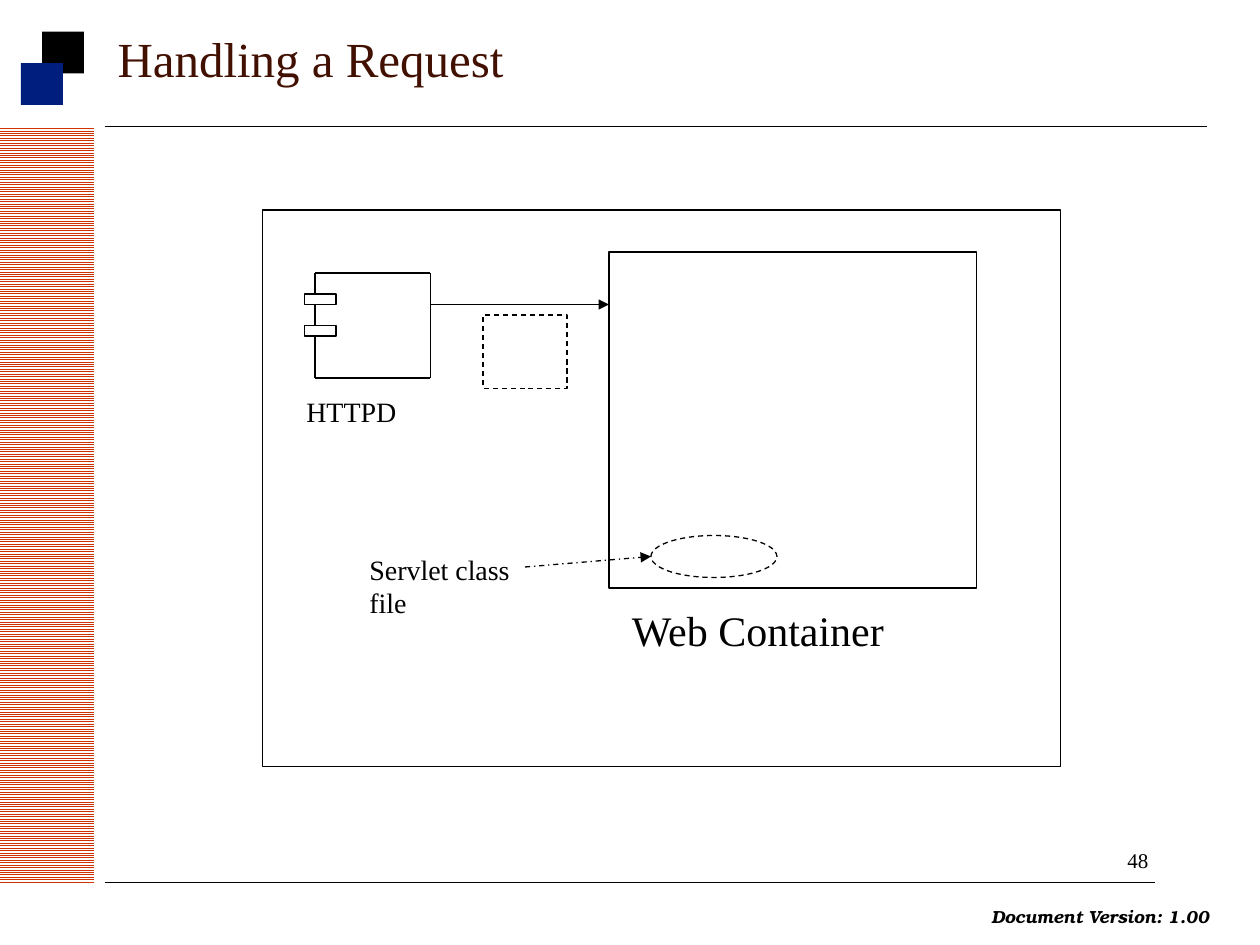
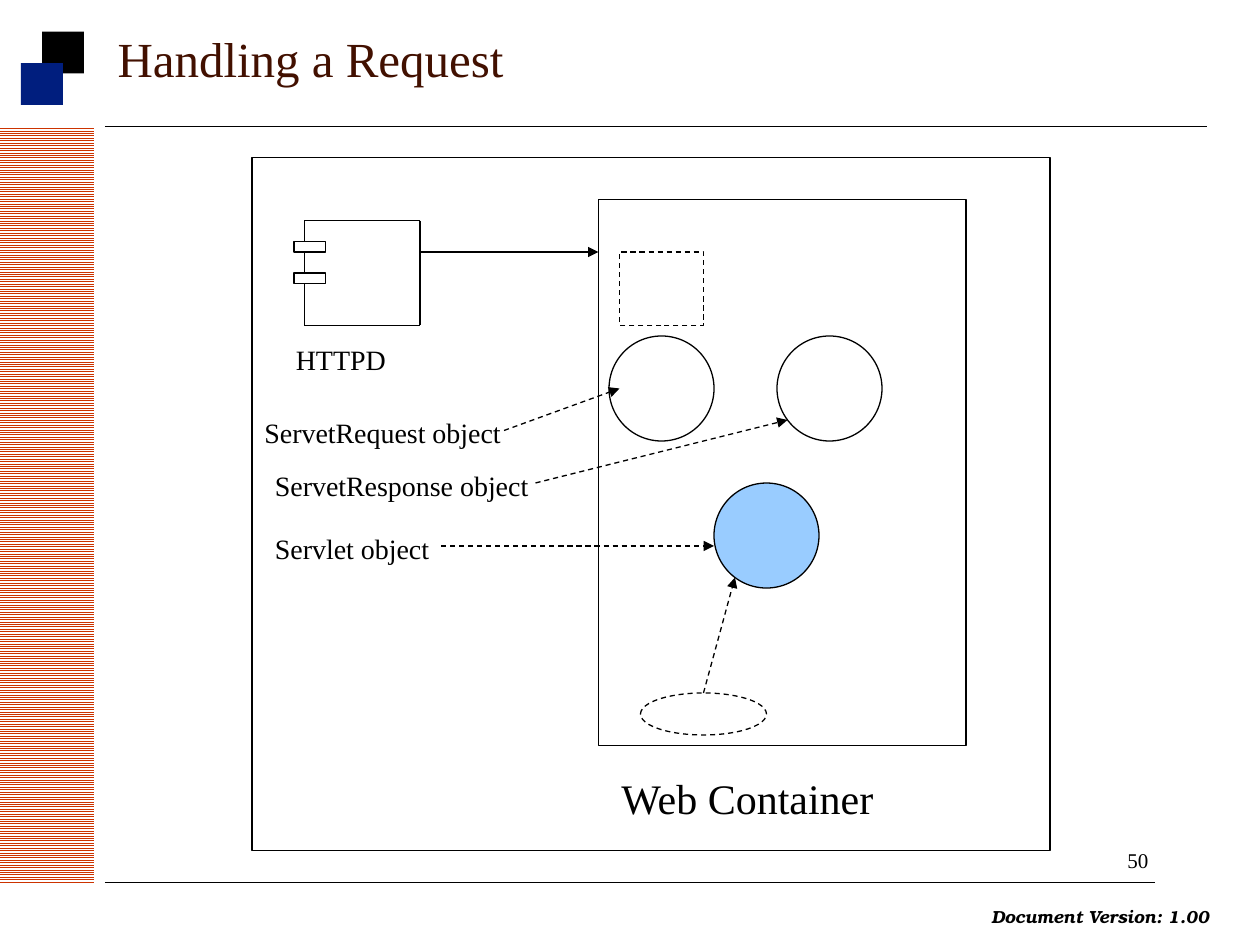
from dataclasses import dataclass

from lxml import etree
from pptx import Presentation
from pptx.dml.color import RGBColor
from pptx.enum.dml import MSO_LINE, MSO_PATTERN
from pptx.enum.shapes import MSO_CONNECTOR, MSO_SHAPE
from pptx.enum.text import MSO_ANCHOR, MSO_AUTO_SIZE, PP_ALIGN
from pptx.oxml.ns import qn
from pptx.util import Inches, Pt

RECT, OVAL = MSO_SHAPE.RECTANGLE, MSO_SHAPE.OVAL
DASH, DASH_DOT = MSO_LINE.DASH, MSO_LINE.DASH_DOT


@dataclass(frozen=True)
class Theme:
    ink: RGBColor = RGBColor.from_string("000000")
    paper: RGBColor = RGBColor.from_string("FFFFFF")
    title: RGBColor = RGBColor.from_string("421000")
    navy: RGBColor = RGBColor.from_string("001E7E")
    stripe: RGBColor = RGBColor.from_string("CC3300")
    servlet: RGBColor = RGBColor.from_string("99CCFF")
    font: str = "Times New Roman"
    footer_font: str = "TeX Gyre Bonum"
    title_size: int = 28
    container_size: int = 24
    label_size: int = 16
    number_size: int = 12
    footer_size: int = 10
    outline: float = 0.75
    hairline: float = 0.25


THEME = Theme()

# All places and sizes below are in twelfths of an inch.
TITLE = "Handling a Request"
FOOTER = "Document Version: 1.00"
SLIDES = [
    {
        "number": "48",
        "frame": (25, 20, 76, 53),
        "container_height": 32,
        "caption_gap": 1,
        "request": (46, 30),
        "circles": [],
        "labels": [("Servlet class file", 34, 52, 19, 2)],
        "arrows": [(50, 54, 62, 53, DASH_DOT)],
    },
    {
        "number": "50",
        "frame": (24, 15, 76, 66),
        "container_height": 52,
        "caption_gap": 2,
        "request": (59, 24),
        "circles": [(58, 32, None), (74, 32, None), (68, 46, THEME.servlet)],
        "labels": [
            ("ServetRequest object", 24, 39, 29, 1),
            ("ServetResponse object", 25, 44, 29, 1),
            ("Servlet object", 25, 50, 27, 1),
        ],
        "arrows": [
            (48, 41, 59, 37, DASH),
            (51, 46, 75, 40, DASH),
            (42, 52, 68, 52, DASH),
            (67, 66, 70, 55, DASH),
        ],
    },
]

# Outline of the HTTPD component, with gaps on the left for its two tabs.
COMPONENT_LINES = [
    (0, 0, 11, 0), (11, 0, 11, 10), (11, 10, 0, 10),
    (0, 0, 0, 2), (0, 3, 0, 5), (0, 6, 0, 10),
]
COMPONENT_TABS = [(-1, 2), (-1, 5)]


def grid(*units):
    """Turn twelfths of an inch into lengths."""
    return [Inches(unit / 12) for unit in units]


def add_figure(page, kind, place, fill=None, outlined=True, dash=None):
    shape = page.shapes.add_shape(kind, *grid(*place))
    shape.shadow.inherit = False
    if fill is None:
        shape.fill.background()
    else:
        shape.fill.solid()
        shape.fill.fore_color.rgb = fill
    if outlined:
        style_line(shape.line, THEME.outline, dash)
    else:
        shape.line.fill.background()
    return shape


def style_line(line, width, dash=None):
    line.color.rgb = THEME.ink
    line.width = Pt(width)
    if dash is not None:
        line.dash_style = dash


def add_line(page, ends, width=THEME.outline, dash=None, arrow=False):
    connector = page.shapes.add_connector(MSO_CONNECTOR.STRAIGHT, *grid(*ends))
    style_line(connector.line, width, dash)
    properties = connector._element.spPr
    if arrow:
        outline = properties.find(qn("a:ln"))
        etree.SubElement(outline, qn("a:tailEnd"), type="triangle")
    etree.SubElement(properties, qn("a:effectLst"))


def add_span(para, text, size, color=THEME.ink, font=THEME.font, strong=False):
    span = para.add_run()
    span.text = text
    span.font.name = font
    span.font.size = Pt(size)
    span.font.color.rgb = color
    span.font.bold = span.font.italic = strong


def add_text(page, text, left, top, width, size, lines=1, wrap=True, **style):
    """Add a text box whose height follows from its type size; lengths given."""
    height = Inches(0.1) + Pt(round(size * 1.2 * lines, 2))
    box = page.shapes.add_textbox(left, top, width, height)
    frame = box.text_frame
    frame.word_wrap = wrap
    frame.auto_size = MSO_AUTO_SIZE.SHAPE_TO_FIT_TEXT
    add_span(frame.paragraphs[0], text, size, **style)


def add_label(page, text, left, top, width, size=THEME.label_size, lines=1):
    add_text(page, text, *grid(left, top, width), size, lines)


def add_title(page):
    title = page.shapes.title
    title.left, title.top, title.width, title.height = grid(10, 0, 108, 11)
    frame = title.text_frame
    frame.vertical_anchor = MSO_ANCHOR.MIDDLE
    para = frame.paragraphs[0]
    para.alignment = PP_ALIGN.LEFT
    add_span(para, TITLE, THEME.title_size, THEME.title)


def add_furniture(page, number):
    """Draw the side band, corner squares, rules and footer."""
    band = add_figure(page, RECT, (-31.5, 43.5, 72, 9), outlined=False)
    band.rotation = 270
    band.fill.patterned()
    band.fill.pattern = MSO_PATTERN.LIGHT_HORIZONTAL
    band.fill.fore_color.rgb = THEME.stripe
    band.fill.back_color.rgb = THEME.paper
    for left, top, color in [(4, 3, THEME.ink), (2, 6, THEME.navy)]:
        add_figure(page, RECT, (left, top, 4, 4), color, outlined=False)
    for right, level in [(115, 12), (110, 84)]:
        add_line(page, (10, level, right, level), THEME.hairline)
    add_text(page, FOOTER, Inches(7.77), Inches(7.14), Inches(1.94),
             THEME.footer_size, wrap=False, font=THEME.footer_font, strong=True)
    add_text(page, number, Inches(8.85), Inches(6.68), Inches(0.4),
             THEME.number_size, wrap=False)


def add_component(page, left, top):
    for x1, y1, x2, y2 in COMPONENT_LINES:
        add_line(page, (left + x1, top + y1, left + x2, top + y2))
    for x, y in COMPONENT_TABS:
        add_figure(page, RECT, (left + x, top + y, 3, 1))
    add_label(page, "HTTPD", left - 2, top + 11, 17)


def add_server(page, content):
    """Draw the server frame with the HTTPD component and web container."""
    left, top, _, _ = content["frame"]
    add_figure(page, RECT, content["frame"])
    add_component(page, left + 5, top + 6)

    container_left, container_top = left + 33, top + 4
    bottom = container_top + content["container_height"]
    add_figure(page, RECT, (container_left, container_top, 35, content["container_height"]))
    add_label(page, "Web Container", container_left + 1,
              bottom + content["caption_gap"], 32, THEME.container_size)
    add_line(page, (left + 16, top + 9, container_left, top + 9), arrow=True)
    add_figure(page, RECT, (*content["request"], 8, 7), dash=DASH)
    add_figure(page, OVAL, (container_left + 4, bottom - 5, 12, 4), dash=DASH)


def add_page(deck, content):
    page = deck.slides.add_slide(deck.slide_layouts[5])
    add_furniture(page, content["number"])
    add_server(page, content)
    for left, top, fill in content["circles"]:
        add_figure(page, OVAL, (left, top, 10, 10), fill)
    for text, left, top, width, lines in content["labels"]:
        add_label(page, text, left, top, width, lines=lines)
    for *ends, dash in content["arrows"]:
        add_line(page, ends, dash=dash, arrow=True)
    add_title(page)


def main():
    deck = Presentation()
    deck.slide_width, deck.slide_height = Inches(10), Inches(7.5)
    for content in SLIDES:
        add_page(deck, content)
    deck.save("out.pptx")


if __name__ == "__main__":
    main()
